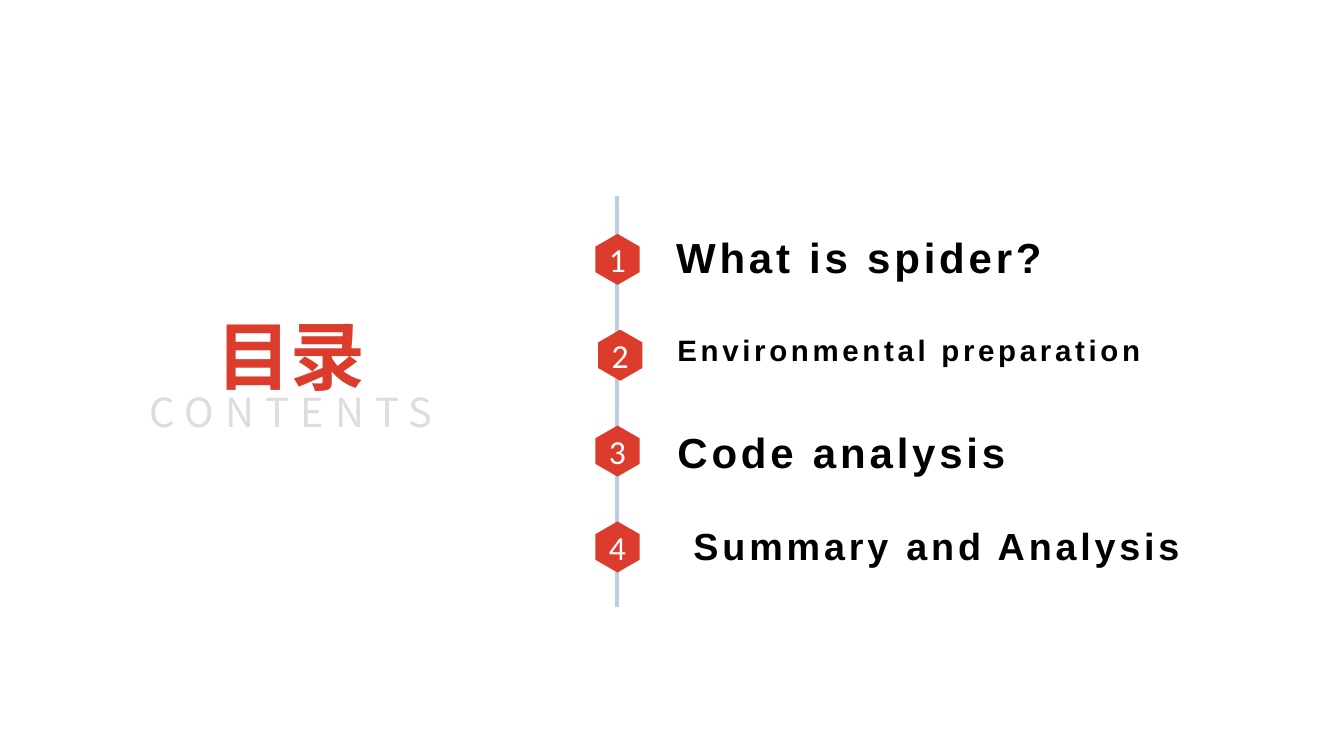
from lxml import etree
from pptx import Presentation
from pptx.dml.color import RGBColor
from pptx.enum.shapes import MSO_CONNECTOR
from pptx.enum.text import MSO_ANCHOR, MSO_AUTO_SIZE, PP_ALIGN
from pptx.oxml.ns import qn
from pptx.util import Inches, Pt

LEFT, CENTER = PP_ALIGN.LEFT, PP_ALIGN.CENTER
MIDDLE = MSO_ANCHOR.MIDDLE
NO_AUTOFIT = MSO_AUTO_SIZE.NONE
STRAIGHT = MSO_CONNECTOR.STRAIGHT

COLORS = {
    "red": "DC3C2B",
    "line": "B9CDE5",
    "gray": "DDDDDD",
    "black": "000000",
    "white": "FFFFFF",
}
CJK_FONT = "Noto Sans CJK SC"


def color(name):
    return RGBColor.from_string(COLORS[name])


def write(shape, text, font, size, color_name, align=CENTER, bold=False,
          spacing=0, left_inset=0.04, wrap=True):
    frame = shape.text_frame
    frame.text = text
    frame.auto_size = NO_AUTOFIT
    frame.word_wrap = wrap
    frame.vertical_anchor = MIDDLE
    frame.margin_left, frame.margin_right = Inches(left_inset), Inches(0.04)
    frame.margin_top = frame.margin_bottom = Inches(0.02)
    paragraph = frame.paragraphs[0]
    paragraph.alignment = align
    run = paragraph.runs[0]
    run.font.name = font
    run.font.size = Pt(size)
    run.font.bold = bold
    run.font.color.rgb = color(color_name)
    properties = run._r.get_or_add_rPr()
    properties.set("spc", str(spacing * 100))
    etree.SubElement(properties, qn("a:ea"), typeface=font)


presentation = Presentation()
presentation.slide_width = Inches(10)
presentation.slide_height = presentation.slide_width * 9 // 16
slide = presentation.slides.add_slide(presentation.slide_layouts[5])
shapes = slide.shapes

heading_box = [Inches(value) for value in (1.44, 2.32, 1.45, 0.64)]
title = shapes.title
title.left, title.top, title.width, title.height = heading_box
write(title, "目录", CJK_FONT, 40.1, "red", bold=True, wrap=False)

left, top, width, height = heading_box
subtitle = shapes.add_textbox(left, top + Inches(0.42), width, height)
write(subtitle, "CONTENTS", CJK_FONT, 21.4, "gray", spacing=6, wrap=False)

timeline = shapes.add_connector(
    STRAIGHT, Inches(4.59), Inches(1.46), Inches(4.59), Inches(4.52))
timeline.line.color.rgb = color("line")
timeline.line.width = Pt(2)
etree.SubElement(timeline._element.spPr, qn("a:effectLst"))

FIRST_TOP, LAST_TOP = 1.74, 3.88
HEXAGON_WIDTH, HEXAGON_HEIGHT = 0.33, 0.38
HEXAGON = [(0.5, 0), (1, 0.25), (1, 0.75), (0.5, 1), (0, 0.75), (0, 0.25)]
ITEMS = [
    ("What is spider?", 22.5, 4.43, 4.88, 1.69),
    ("Environmental preparation", 15.75, 4.45, 4.89, 2.38),
    ("Code analysis", 22.5, 4.43, 4.89, 3.14),
    ("Summary and Analysis", 20.25, 4.43, 5.01, 3.84),
]
row_step = (LAST_TOP - FIRST_TOP) / (len(ITEMS) - 1)

for row, (text, size, marker_left, text_left, text_top) in enumerate(ITEMS):
    marker_top = FIRST_TOP + row * row_step
    points = [(Inches(marker_left + x * HEXAGON_WIDTH),
               Inches(marker_top + y * HEXAGON_HEIGHT)) for x, y in HEXAGON]
    builder = shapes.build_freeform(*points[0])
    builder.add_line_segments(points[1:], close=True)
    marker = builder.convert_to_shape()
    marker.shadow.inherit = False
    marker.fill.solid()
    marker.fill.fore_color.rgb = color("red")
    marker.line.fill.background()
    write(marker, str(row + 1), "Calibri", 18, "white")

    label = shapes.add_textbox(
        Inches(text_left), Inches(text_top), Inches(3.82), Inches(0.44))
    write(label, text, "Arial", size, "black", align=LEFT, bold=True,
          spacing=2, left_inset=0.15)

presentation.save("out.pptx")
